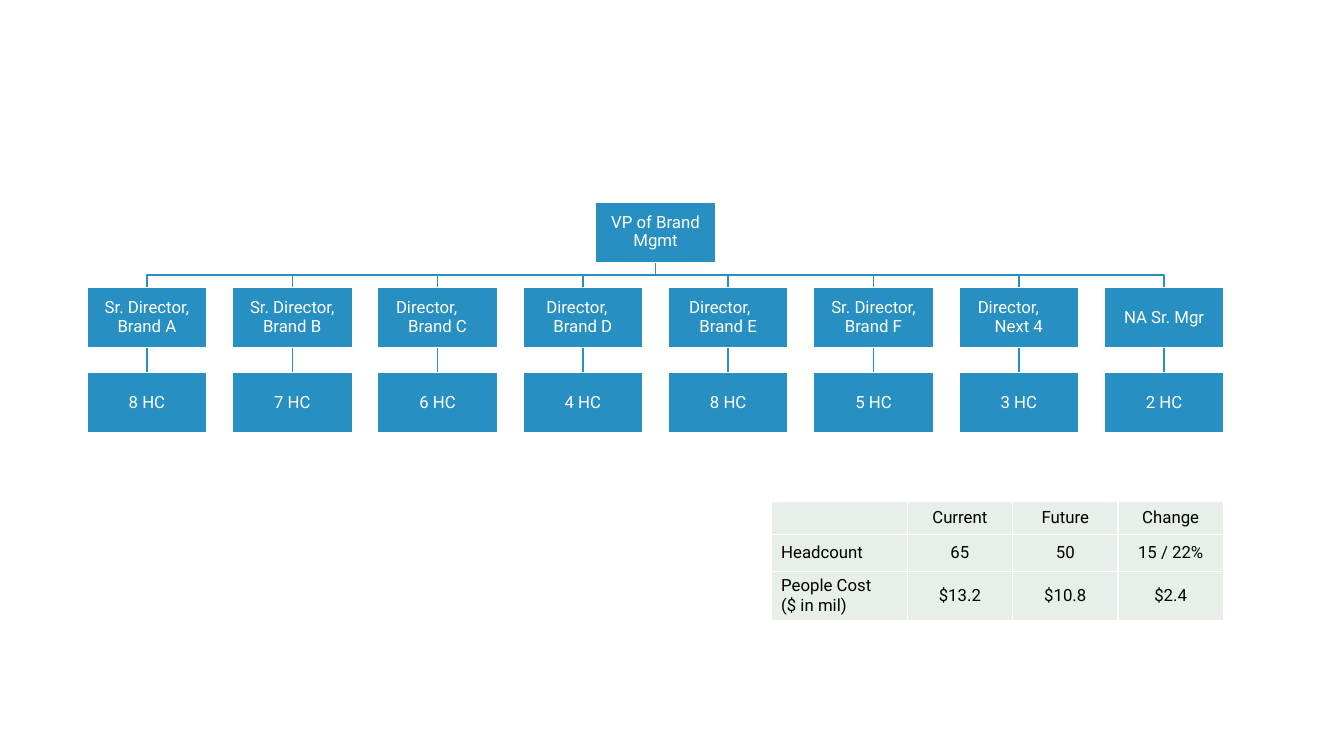
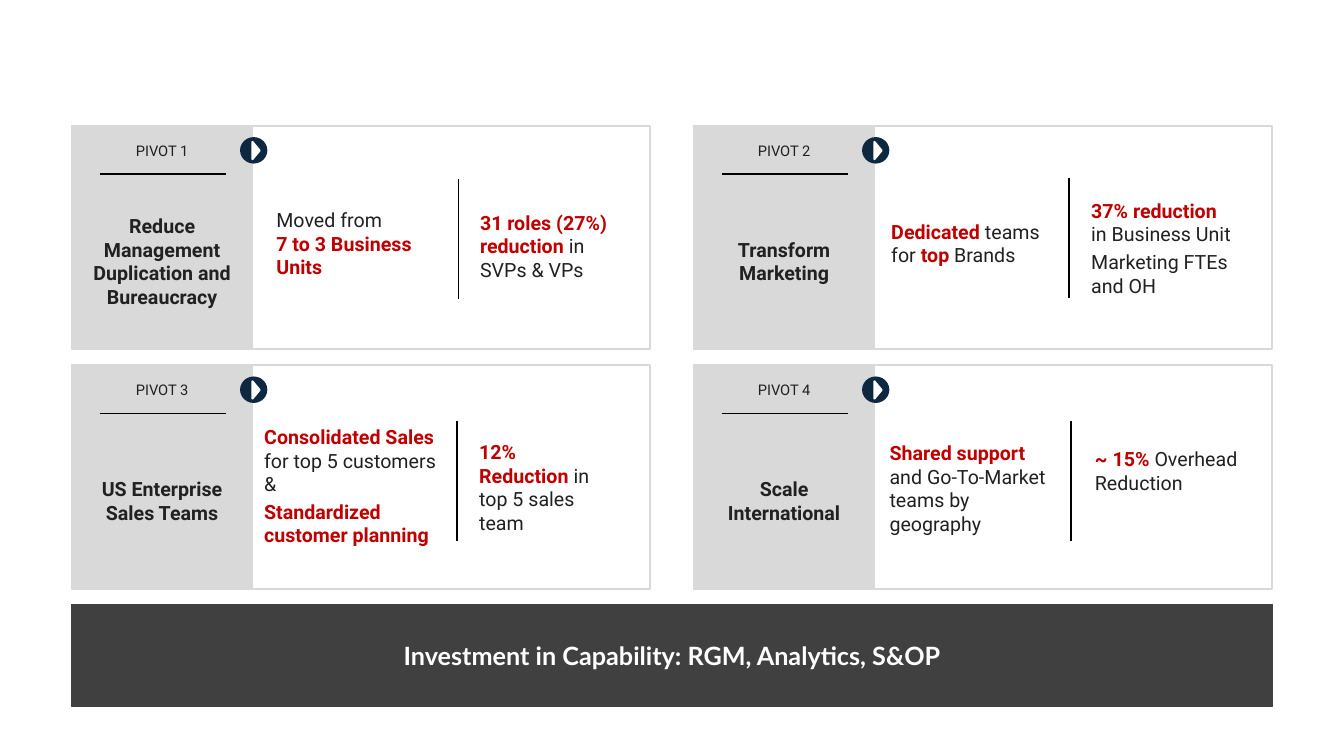
from lxml.etree import SubElement
from pptx import Presentation
from pptx.dml.color import RGBColor
from pptx.enum.shapes import MSO_CONNECTOR as Connector, MSO_SHAPE as Preset
from pptx.enum.text import MSO_ANCHOR as Anchor, PP_ALIGN as Align
from pptx.oxml.ns import qn
from pptx.util import Inches, Pt

COLUMNS, ROWS = 160, 90
CELL = Inches(1) // 12
COLORS = {
    "blue": "288FC2", "white": "FFFFFF", "black": "000000", "ink": "212121",
    "red": "C00000", "gray": "D9D9D9", "navy": "0E2841", "charcoal": "404040",
    "sage": "E8EEE8",
}
STYLES = {
    "org": ("Roboto", 12, "white", False),
    "table": ("Roboto", 12, "black", False),
    "label": ("Roboto", 10.5, "ink", False),
    "heading": ("Roboto", 14, "ink", True),
    "body": ("Roboto", 14, "ink", False),
    "key": ("Roboto", 14, "red", True),
    "banner": ("Lato", 18, "white", True),
}
TEAMS = [
    (["Sr. Director, Brand A"], 0, "8 HC"),
    (["Sr. Director, Brand B"], 0, "7 HC"),
    (["Director,", "Brand C"], 2.6, "6 HC"),
    (["Director,", "Brand D"], 1.4, "4 HC"),
    (["Director,", "Brand E"], 2, "8 HC"),
    (["Sr. Director, Brand F"], 0, "5 HC"),
    (["Director,", "Next 4"], 2.5, "3 HC"),
    (["NA Sr. Mgr"], 0, "2 HC"),
]
COSTS = [
    ["", "Current", "Future", "Change"],
    ["Headcount", "65", "50", "15 / 22%"],
    ["People Cost\n($ in mil)", "$13.2", "$10.8", "$2.4"],
]
PIVOTS = [
    {"heading": "Reduce Management Duplication and Bureaucracy", "divider": (46, 6.35),
     "notes": [
         ((23.85, 9.3, 17.6), [[("Moved from \n", "body"), ("7 to 3 Business Units", "key")]]),
         ((48.1, 9.6, 19), [[("31 roles (27%) reduction ", "key"), ("in SVPs & VPs", "body")]]),
     ]},
    {"heading": "Transform Marketing", "divider": (44.65, 6.25),
     "notes": [
         ((23, 10.65, 20.3), [[("Dedicated ", "key"), ("teams for ", "body"),
                               ("top", "key"), (" Brands", "body")]]),
         ((46.8, 8.15, 21.4), [[("37% reduction \n", "key"), ("in Business Unit", "body")],
                               [("Marketing FTEs and OH", "body")]]),
     ]},
    {"heading": "US Enterprise Sales Teams", "divider": (45.85, 6.6),
     "notes": [
         ((22.4, 6.6, 21.7), [[("Consolidated Sales ", "key"), ("for top 5 customers &", "body")],
                              [("Standardized customer planning", "key")]]),
         ((48, 8.4, 15.1), [[("12% Reduction ", "key"), ("in top 5 sales team", "body")]]),
     ]},
    {"heading": "Scale International", "divider": (44.9, 6.6),
     "notes": [
         ((22.8, 8.5, 21.5), [[("Shared support ", "key"),
                               ("and Go-To-Market teams by geography", "body")]]),
         ((47.25, 9.25, 21.6), [[("~ 15% ", "key"), ("Overhead Reduction", "body")]]),
     ]},
]


def cells(*counts):
    """Turn counts of grid cells into lengths."""
    return [round(count * CELL) for count in counts]


def color(name):
    """Look up a named colour."""
    return RGBColor.from_string(COLORS[name])


class Deck:
    """Hold the presentation, its style and the current slide."""

    def __init__(self):
        """Start a wide presentation."""
        self.presentation = Presentation()
        self.presentation.slide_width, self.presentation.slide_height = cells(COLUMNS, ROWS)
        self.slide = None

    def new_slide(self):
        """Add a blank slide and make it current."""
        self.slide = self.presentation.slides.add_slide(self.presentation.slide_layouts[6])

    def paint(self, shape, fill, line, width):
        """Give a shape its fill and outline."""
        shape.shadow.inherit = False
        if fill:
            shape.fill.solid()
            shape.fill.fore_color.rgb = color(fill)
        else:
            shape.fill.background()
        shape.line.color.rgb = color(line)
        shape.line.width = Pt(width)

    def shape(self, preset, box, fill, line, width=1.5):
        """Draw a preset shape on the grid."""
        shape = self.slide.shapes.add_shape(preset, *cells(*box))
        self.paint(shape, fill, line, width)
        return shape

    def line(self, start, end, name="black"):
        """Draw a straight line on the grid."""
        connector = self.slide.shapes.add_connector(Connector.STRAIGHT, *cells(*start, *end))
        connector.line.color.rgb = color(name)
        connector.line.width = Pt(1)
        SubElement(connector._element.spPr, qn("a:effectLst"))

    def elbow(self, points, name):
        """Draw a bent line through grid points."""
        first, *others = [tuple(cells(*point)) for point in points]
        builder = self.slide.shapes.build_freeform(*first)
        builder.add_line_segments(others, close=False)
        self.paint(builder.convert_to_shape(), None, name, 1)

    def add_runs(self, paragraph, runs, align):
        """Fill a paragraph with styled runs."""
        paragraph.alignment = align
        for text, style in runs:
            font_name, size, ink, bold = STYLES[style]
            for index, part in enumerate(text.split("\n")):
                if index:
                    paragraph.add_line_break()
                if part:
                    run = paragraph.add_run()
                    run.text = part
                    run.font.name, run.font.size, run.font.bold = font_name, Pt(size), bold
                    run.font.color.rgb = color(ink)

    def fill_text(self, shape, paragraphs, align=Align.CENTER, anchor=Anchor.MIDDLE, inset=0.5, gap=0):
        """Put paragraphs of runs into a shape."""
        frame = shape.text_frame
        frame.word_wrap = True
        frame.vertical_anchor = anchor
        frame.margin_left, frame.margin_top, frame.margin_right, frame.margin_bottom = cells(*[inset] * 4)
        for index, runs in enumerate(paragraphs):
            paragraph = frame.add_paragraph() if index else frame.paragraphs[0]
            self.add_runs(paragraph, runs, align)
            paragraph.space_after = Pt(gap)
        return frame

    def text(self, box, paragraphs, **layout):
        """Place a text box on the grid."""
        self.fill_text(self.slide.shapes.add_textbox(*cells(*box)), paragraphs, **layout)

    def org_box(self, box, lines, stagger=0):
        """Draw a box of the chart, moving its first line left of its second."""
        shape = self.shape(Preset.RECTANGLE, box, "blue", "white", 1)
        frame = self.fill_text(shape, [[(line, "org")] for line in lines], inset=0.15)
        frame.margin_right += cells(stagger)[0]
        for paragraph in frame.paragraphs:
            paragraph.line_spacing = 0.9
        if stagger:
            paragraph._p.get_or_add_pPr().set("marL", str(cells(stagger)[0]))

    def table(self, left, top, widths, heights, rows):
        """Add a table with white rules."""
        frame = self.slide.shapes.add_table(
            len(heights), len(widths), *cells(left, top, sum(widths), sum(heights)))
        table = frame.table
        table.first_row = table.horz_banding = False
        for column, width in zip(table.columns, cells(*widths)):
            column.width = width
        for row, height, texts in zip(table.rows, cells(*heights), rows):
            row.height = height
            for index, (cell, text) in enumerate(zip(row.cells, texts)):
                self.table_cell(cell, text, Align.CENTER if index else Align.LEFT)

    def table_cell(self, cell, text, align):
        """Style one table cell and set its text."""
        properties = cell._tc.get_or_add_tcPr()
        for side in ("lnL", "lnR", "lnT", "lnB"):
            border = SubElement(properties, qn(f"a:{side}"), w=str(Pt(1)))
            SubElement(SubElement(border, qn("a:solidFill")), qn("a:srgbClr"), val=COLORS["white"])
        cell.fill.solid()
        cell.fill.fore_color.rgb = color("sage")
        cell.vertical_anchor = Anchor.MIDDLE
        paragraph = cell.text_frame.paragraphs[0]
        self.add_runs(paragraph, [(text, "table")], align)
        if not text:
            SubElement(paragraph._p, qn("a:endParaRPr"), sz="1200")

    def pivot(self, left, top, number, pivot):
        """Draw one pivot card."""
        panel, width, height = 21.5, 68.8, 26.6
        self.shape(Preset.RECTANGLE, (left, top, panel, height), "gray", "gray")
        self.text((left + 3.25, top + 0.85, 15, 4.05), [[(f"PIVOT {number}", "label")]])
        self.line((left + 3.3, top + 5.7), (left + 18.3, top + 5.7))
        self.text((left + 0.7, top + 9.45, panel - 1.4, 13.3), [[(pivot["heading"], "heading")]])
        self.shape(Preset.OVAL, (left + 20.15, top + 1.45, 3, 2.9), "navy", "navy")
        arrow = self.shape(Preset.ISOSCELES_TRIANGLE, (left + 20.9, top + 2.5, 2.05, 0.85), "white", "white")
        arrow.rotation = 90
        self.shape(Preset.RECTANGLE, (left, top, width, height), None, "gray")
        for (across, down, note_width), paragraphs in pivot["notes"]:
            self.text((left + across, top + down, note_width, 12), paragraphs,
                      align=Align.LEFT, anchor=Anchor.TOP, gap=3)
        across, down = pivot["divider"]
        self.line((left + across, top + down), (left + across, top + down + 14.25))


def organization(deck):
    """Build the organization slide."""
    deck.new_slide()
    left, top, width, height = 10.35, 24.1, 14.28, 7.14
    across, down = 17.3, 10.14
    head_left = left + across * (len(TEAMS) - 1) / 2
    head_center = head_left + width / 2
    head_bottom, team_top, count_top = top + height, top + down, top + 2 * down
    bend = (head_bottom + team_top) / 2
    lefts = [left + across * index for index in range(len(TEAMS))]
    for team_left in lefts:
        center = team_left + width / 2
        deck.elbow([(head_center, head_bottom), (head_center, bend),
                    (center, bend), (center, team_top)], "blue")
        deck.line((center, team_top + height), (center, count_top), "blue")
    deck.org_box((head_left, top, width, height), ["VP of Brand Mgmt"])
    for team_left, (lines, stagger, count) in zip(lefts, TEAMS):
        deck.org_box((team_left, team_top, width, height), lines, stagger)
        deck.org_box((team_left, count_top, width, height), [count])
    deck.table(91.8, 59.65, [16.2] + [12.55] * 3, [3.95, 4.4, 5.85], COSTS)


def pivots(deck):
    """Build the pivots slide."""
    deck.new_slide()
    left, top = 8.55, 15
    for index, pivot in enumerate(PIVOTS):
        row, column = divmod(index, 2)
        deck.pivot(left + 74.05 * column, top + 28.5 * row, index + 1, pivot)
    banner = deck.shape(Preset.RECTANGLE, (left, 72, 142.9, 12.1), "charcoal", "charcoal", 0.75)
    deck.fill_text(banner, [[("Investment in Capability: RGM, Analytics, S&OP", "banner")]])


def main():
    """Build and save the presentation."""
    deck = Deck()
    organization(deck)
    pivots(deck)
    deck.presentation.save("out.pptx")


if __name__ == "__main__":
    main()
